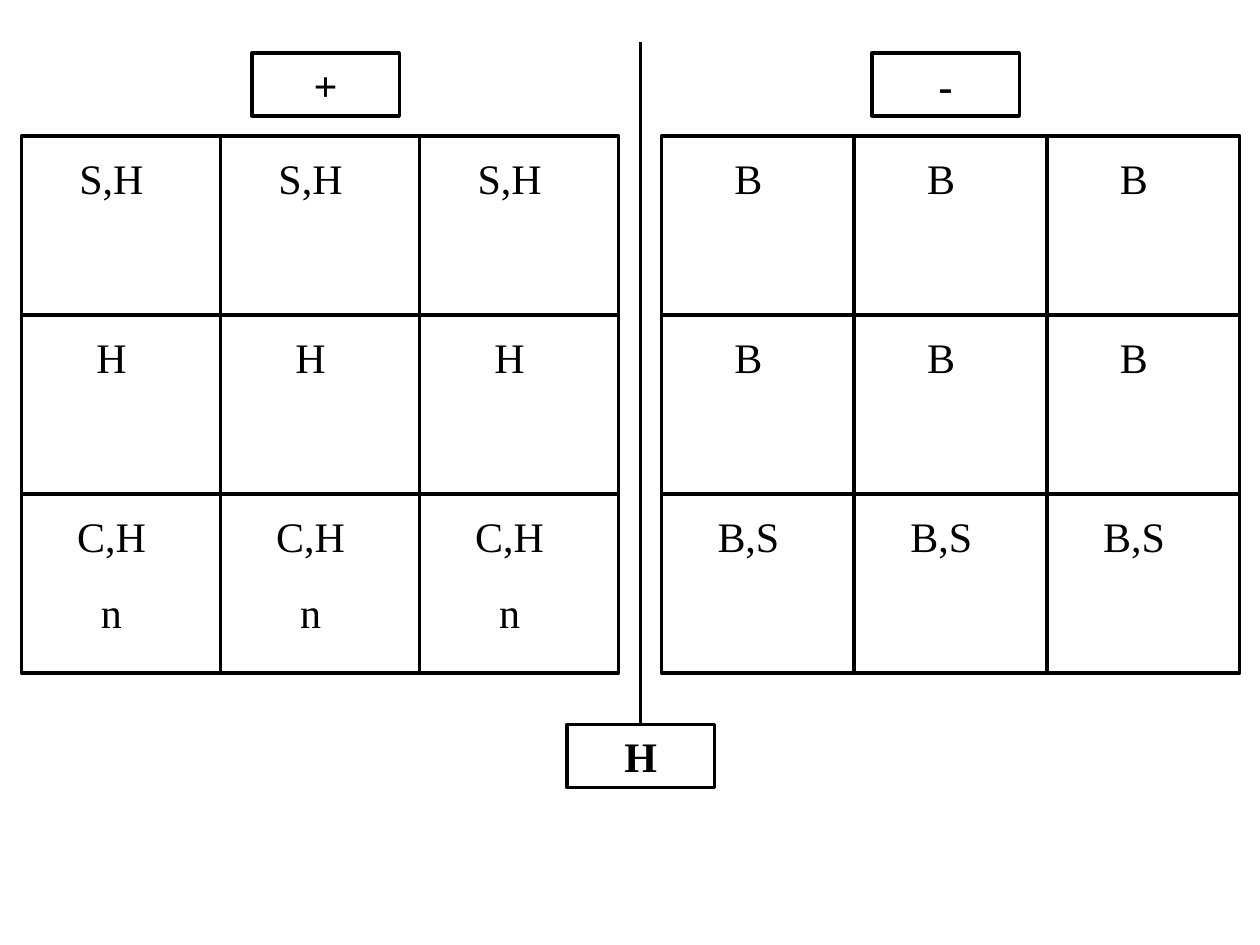
from pptx import Presentation
from pptx.dml.color import RGBColor
from pptx.enum.shapes import MSO_CONNECTOR, MSO_SHAPE
from pptx.enum.text import MSO_ANCHOR, PP_ALIGN
from pptx.util import Inches, Pt
from lxml.etree import SubElement
from pptx.oxml.ns import qn

BLACK = RGBColor(0, 0, 0)
LINE_WIDTH = Pt(2)
GRID_TOP = 1.08
ROW_HEIGHT = 1.42
LABEL_WIDTH = 1.17
LABEL_HEIGHT = 0.5

presentation = Presentation()
presentation.slide_width = Inches(10)
presentation.slide_height = Inches(7.5)
slide = presentation.slides.add_slide(presentation.slide_layouts[6])


def add_box(left, top, width, height):
    shape = slide.shapes.add_shape(
        MSO_SHAPE.RECTANGLE, Inches(left), Inches(top), Inches(width), Inches(height)
    )
    shape.shadow.inherit = False
    shape.fill.background()
    shape.line.color.rgb = BLACK
    shape.line.width = LINE_WIDTH
    return shape


def write_text(shape, lines, bold=False):
    frame = shape.text_frame
    frame.word_wrap = True
    frame.vertical_anchor = MSO_ANCHOR.TOP
    frame.text = "\n".join(lines)
    for paragraph in frame.paragraphs:
        paragraph.alignment = PP_ALIGN.CENTER
        paragraph.space_before = Pt(15)
        font = paragraph.runs[0].font
        font.color.rgb = BLACK
        font_format = {"name": "Times New Roman", "size": Pt(24), "bold": bold}
        for attribute, value in font_format.items():
            setattr(font, attribute, value)


grids = [
    {
        "left": 0.17,
        "column_width": 1.58,
        "rows": [(["S,H"], 1.11), (["H"], 1.11), (["C,H", "n"], 1.11)],
    },
    {
        "left": 5.25,
        "column_width": 1.53,
        "rows": [(["B"], 1.11), (["B"], 0.5), (["B,S"], 0.5)],
    },
]

for grid in grids:
    width = grid["column_width"]
    for row, (lines, text_height) in enumerate(grid["rows"]):
        top = GRID_TOP + row * ROW_HEIGHT
        for column in range(3):
            left = grid["left"] + column * width
            add_box(left, top, width, ROW_HEIGHT)
            text_box = slide.shapes.add_textbox(
                Inches(left), Inches(top + 0.08), Inches(width - 0.15), Inches(text_height)
            )
            write_text(text_box, lines)

labels = {}
for name, text, left, top in [
    ("plus", "+", 2, 0.42),
    ("minus", "-", 6.92, 0.42),
    ("bottom", "H", 4.5, 5.75),
]:
    labels[name] = add_box(left, top, LABEL_WIDTH, LABEL_HEIGHT)
    write_text(labels[name], [text], bold=True)

divider = slide.shapes.add_connector(
    MSO_CONNECTOR.STRAIGHT, Inches(5.08), Inches(0.33), Inches(5.08), Inches(5.75)
)
divider.end_connect(labels["bottom"], 0)
divider.begin_x = divider.end_x
divider.line.color.rgb = BLACK
divider.line.width = LINE_WIDTH
SubElement(divider._element.spPr, qn("a:effectLst"))

presentation.save("out.pptx")
